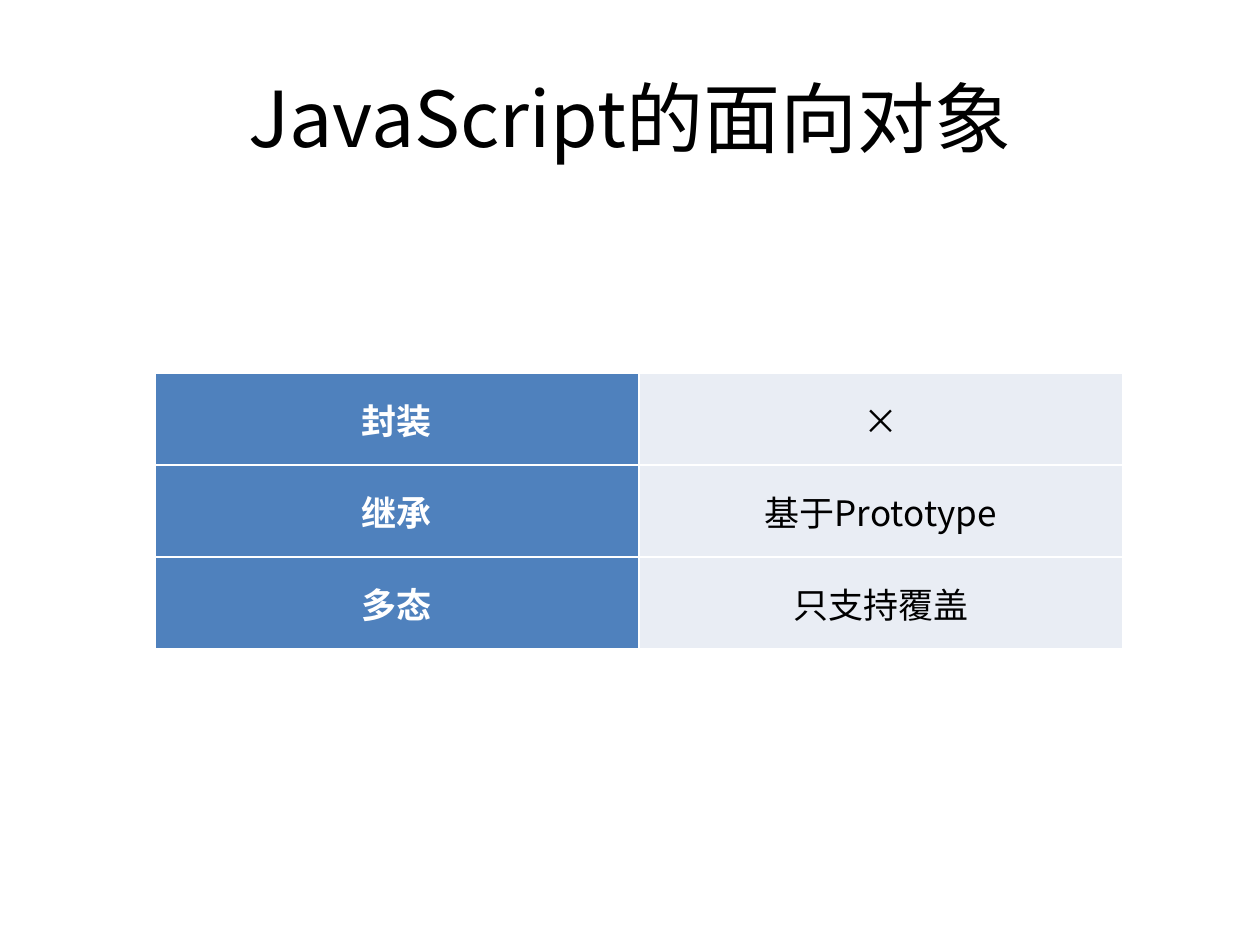
from lxml import etree
from pptx import Presentation
from pptx.dml.color import RGBColor
from pptx.enum.text import MSO_ANCHOR, PP_ALIGN
from pptx.oxml.ns import qn
from pptx.util import Inches, Pt

CENTER = PP_ALIGN.CENTER
MIDDLE = MSO_ANCHOR.MIDDLE


def rgb(value):
    """Turn a hex string into a colour."""
    return RGBColor.from_string(value)


class SlideBuilder:
    """Hold the style and the current slide."""

    font = "Noto Sans CJK SC"
    ink = "000000"
    white = "FFFFFF"
    header_fill = "4F81BD"
    body_fill = "E9EDF4"

    def __init__(self, prs):
        """Add a blank slide."""
        self.s = prs.slides.add_slide(prs.slide_layouts[6])

    def add_text(self, tf, text, size, color, bold=False):
        """Put one centred run into a text frame."""
        p = tf.paragraphs[0]
        p.alignment = CENTER
        r = p.add_run()
        r.text = text
        r.font.size = Pt(size)
        r.font.bold = bold
        r.font.color.rgb = rgb(color)
        r.font.name = self.font
        etree.SubElement(r.font._element, qn("a:ea"), typeface=self.font)

    def title(self, text, left, top, width, height):
        """Add the slide title."""
        sp = self.s.shapes.add_textbox(
            Inches(left), Inches(top), Inches(width), Inches(height))
        tf = sp.text_frame
        tf.word_wrap = True
        tf.vertical_anchor = MIDDLE
        self.add_text(tf, text, 44, self.ink)

    def border(self, cell):
        """Draw a thin white line on every side of a cell."""
        tc_pr = cell._tc.get_or_add_tcPr()
        for i, side in enumerate(("a:lnL", "a:lnR", "a:lnT", "a:lnB")):
            ln = etree.Element(qn(side), w=str(Pt(1)))
            fill = etree.SubElement(ln, qn("a:solidFill"))
            etree.SubElement(fill, qn("a:srgbClr"), val=self.white)
            tc_pr.insert(i, ln)

    def table(self, rows, left, top, col_width, row_height):
        """Add a table whose first column is the header."""
        n_rows, n_cols = len(rows), len(rows[0])
        table = self.s.shapes.add_table(
            n_rows, n_cols, Inches(left), Inches(top),
            Inches(col_width * n_cols), Inches(row_height * n_rows)).table
        table.first_row = False
        table.horz_banding = False
        table.first_col = True
        for i, row in enumerate(rows):
            for j, text in enumerate(row):
                header = j == 0
                cell = table.cell(i, j)
                cell.vertical_anchor = MIDDLE
                cell.fill.solid()
                cell.fill.fore_color.rgb = rgb(
                    self.header_fill if header else self.body_fill)
                self.border(cell)
                self.add_text(cell.text_frame, text, 20,
                              self.white if header else self.ink, header)


def main():
    """Build and save the slide."""
    prs = Presentation()
    prs.slide_width, prs.slide_height = Inches(10), Inches(7.5)
    slide = SlideBuilder(prs)
    slide.title("JavaScript的面向对象", 0.5, 0.3, 9, 1.25)
    features = [("封装", "×"), ("继承", "基于Prototype"), ("多态", "只支持覆盖")]
    slide.table(features, 1.23, 2.96, 3.84, 0.73)
    prs.save("out.pptx")


if __name__ == "__main__":
    main()
